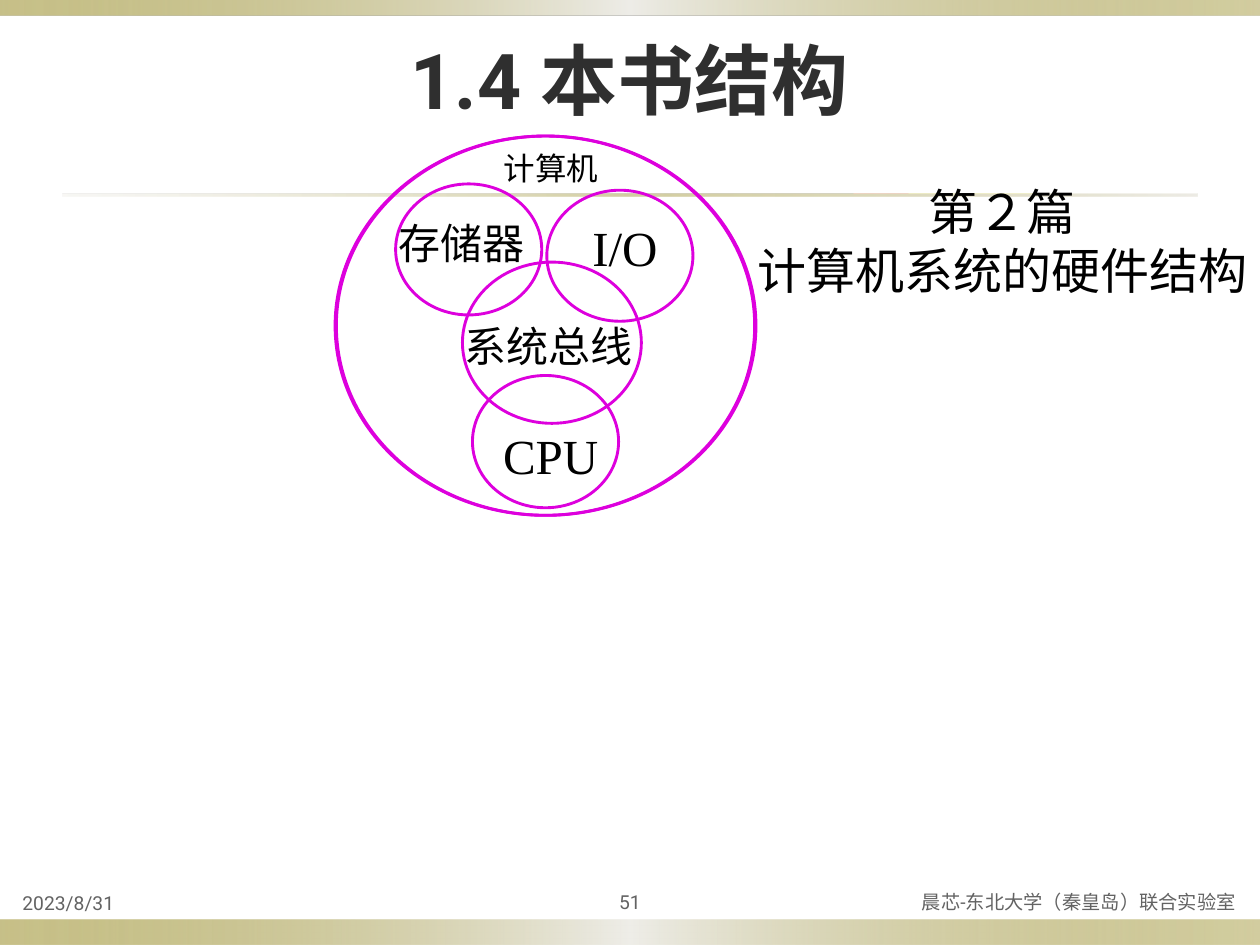
from lxml import etree
from pptx import Presentation
from pptx.dml.color import RGBColor
from pptx.enum.shapes import MSO_SHAPE
from pptx.enum.text import MSO_ANCHOR, MSO_AUTO_SIZE, PP_ALIGN
from pptx.oxml.ns import qn
from pptx.util import Inches, Pt

RECTANGLE, OVAL = MSO_SHAPE.RECTANGLE, MSO_SHAPE.OVAL
LEFT, CENTER, RIGHT = PP_ALIGN.LEFT, PP_ALIGN.CENTER, PP_ALIGN.RIGHT
TOP, MIDDLE, BOTTOM = MSO_ANCHOR.TOP, MSO_ANCHOR.MIDDLE, MSO_ANCHOR.BOTTOM
GROW, FIXED = MSO_AUTO_SIZE.SHAPE_TO_FIT_TEXT, MSO_AUTO_SIZE.NONE

COLUMNS, ROWS = 100, 75
WIDTH, HEIGHT = Inches(10), Inches(7.5)
SANS, SERIF = "Roboto", "Times New Roman"
COLORS = {
    "olive": "918415",
    "mist": "EEEDE8",
    "sand": "DCD9CC",
    "title": "2F2F2F",
    "footer": "636363",
    "text": "000000",
    "ring": "DD00DD",
}
BAND_STOPS = [(0, "olive", 50), (50, "mist", 100), (100, "olive", 40)]
RULE_STOPS = [(0, "sand", 20), (50, "olive", 40), (100, "sand", 50)]


def cells(column, row, columns, rows):
    across, down = WIDTH / COLUMNS, HEIGHT / ROWS
    return (round(column * across), round(row * down),
            round(columns * across), round(rows * down))


def add_band(page, area, stops):
    band = page.shapes.add_shape(RECTANGLE, *cells(*area))
    gradient = etree.Element(qn("a:gradFill"), rotWithShape="1")
    stop_list = etree.SubElement(gradient, qn("a:gsLst"))
    for position, color, opacity in stops:
        stop = etree.SubElement(stop_list, qn("a:gs"), pos=str(position * 1000))
        tint = etree.SubElement(stop, qn("a:srgbClr"), val=COLORS[color])
        etree.SubElement(tint, qn("a:alpha"), val=str(opacity * 1000))
    etree.SubElement(gradient, qn("a:lin"), ang="0", scaled="0")
    band._element.spPr.find(qn("a:prstGeom")).addnext(gradient)
    band.line.fill.background()
    band.shadow.inherit = False


def add_ring(page, area):
    ring = page.shapes.add_shape(OVAL, *cells(*area))
    ring.fill.background()
    ring.line.color.rgb = RGBColor.from_string(COLORS["ring"])
    ring.line.width = Pt(1.63)
    ring.shadow.inherit = False


def format_text(box, text, size, color, font=SANS, align=CENTER, bold=False):
    box.text_frame.text = text
    for para in box.text_frame.paragraphs:
        para.alignment = align
        for span in para.runs:
            span.font.name = font
            span.font.size = Pt(size)
            span.font.bold = bold
            span.font.color.rgb = RGBColor.from_string(COLORS[color])


def add_text(page, area, text, size, color="text", font=SANS, align=CENTER,
             anchor=TOP, wrap=False, fit=GROW, insets=(0.1, 0.05)):
    box = page.shapes.add_textbox(*cells(*area))
    frame = box.text_frame
    frame.word_wrap = wrap
    frame.auto_size = fit
    frame.vertical_anchor = anchor
    frame.margin_left = frame.margin_right = Inches(insets[0])
    frame.margin_top = frame.margin_bottom = Inches(insets[1])
    format_text(box, text, size, color, font, align)


def add_title(page, text):
    title = page.shapes.title
    title.left, title.top, title.width, title.height = cells(7.5, 0, 85, 12.5)
    title.text_frame.vertical_anchor = MIDDLE
    title.text_frame.auto_size = FIXED
    format_text(title, text, 44, "title", bold=True)


def add_footer(page):
    footers = [
        (0.8, 35, "2023/8/31", LEFT, BOTTOM, 0.1),
        (58.3, 40.8, "晨芯-东北大学（秦皇岛）联合实验室", RIGHT, MIDDLE, 0.1),
        (45, 10, "51", CENTER, MIDDLE, 0.05),
    ]
    for column, columns, text, align, anchor, inset in footers:
        add_text(page, (column, 70, columns, 3.1), text, 11, "footer",
                 align=align, anchor=anchor, wrap=True, fit=FIXED,
                 insets=(inset, 0.05))


def add_computer(page):
    rings = [
        (26.6, 10.8, 33.3, 30.1),
        (36.7, 20.8, 14.2, 12.8),
        (31.4, 14.6, 11.6, 10.4),
        (43.4, 15.1, 11.6, 10.4),
        (37.5, 29.8, 11.6, 10.5),
    ]
    labels = [
        ((40, 11.8, 7.6, 3), "计算机", 18, SANS, LEFT, False),
        ((45.5, 17.3, 8.2, 4.7), "I/O", 28, SERIF, CENTER, True),
        ((36.8, 25.4, 13.5, 4), "系统总线", 24, SANS, CENTER, False),
        ((31.6, 17.3, 10.1, 4), "存储器", 24, SANS, LEFT, False),
        ((39.7, 33.8, 8, 4.7), "CPU", 28, SERIF, CENTER, False),
    ]
    for area in rings:
        add_ring(page, area)
    for area, text, size, font, align, wrap in labels:
        add_text(page, area, text, size, font=font, align=align, wrap=wrap,
                 insets=(0, 0))
    add_ring(page, (26.7, 10.8, 33.3, 30.1))


def main():
    deck = Presentation()
    deck.slide_width, deck.slide_height = WIDTH, HEIGHT
    page = deck.slides.add_slide(deck.slide_layouts[5])
    add_band(page, (0, 73, COLUMNS, 2), BAND_STOPS)
    add_band(page, (0, 0, COLUMNS, 1.2), BAND_STOPS)
    add_band(page, (5, 15.4, 90, 0.2), RULE_STOPS)
    add_title(page, "1.4 本书结构")
    add_footer(page)
    add_text(page, (59.1, 13.9, 40.9, 11.3), "第２篇\n计算机系统的硬件结构", 28)
    add_computer(page)
    deck.save("out.pptx")


if __name__ == "__main__":
    main()
